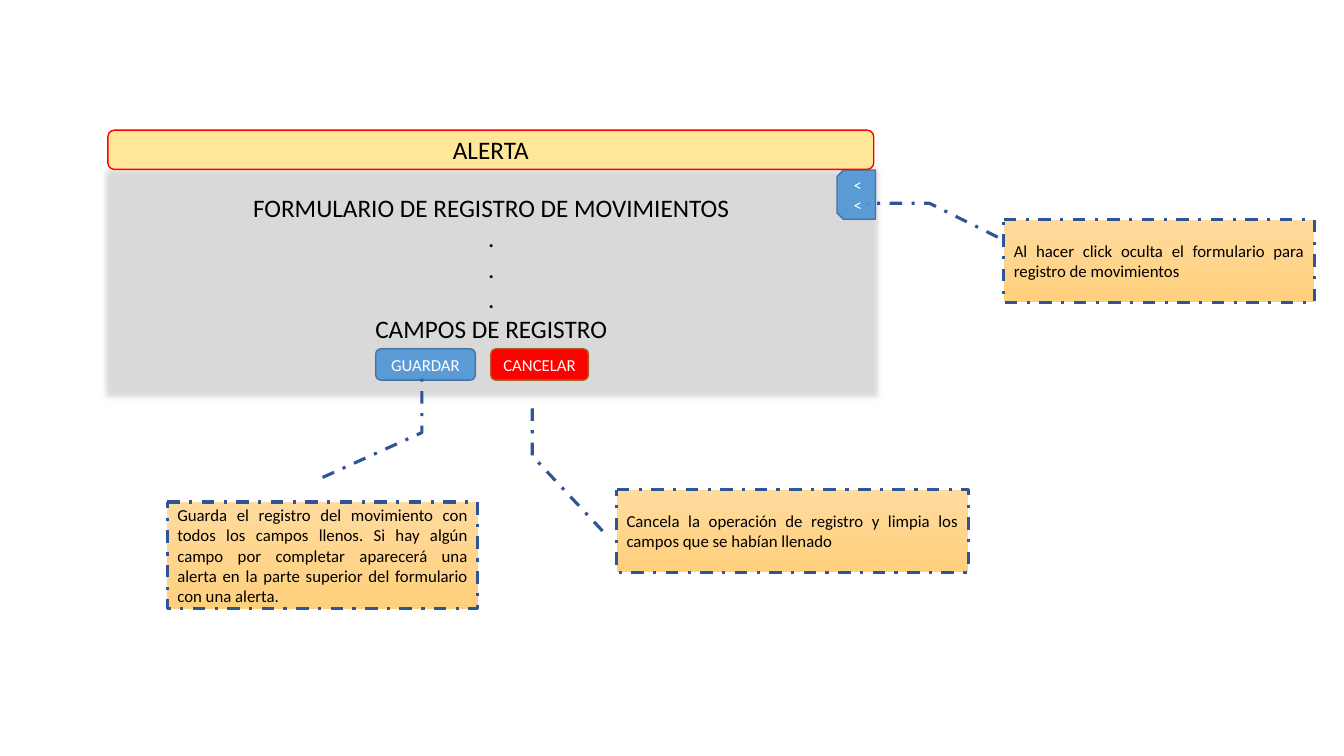
import pptx
import pptx.util
import pptx.dml.color
import pptx.enum.dml
import pptx.enum.shapes
import pptx.enum.text
import pptx.oxml.ns
import lxml.etree

Cm = pptx.util.Cm
Pt = pptx.util.Pt
SHAPE = pptx.enum.shapes.MSO_SHAPE
ALIGN = pptx.enum.text.PP_ALIGN

COLORS = {
    "black": "000000",
    "white": "FFFFFF",
    "panel": "D9D9D9",
    "panel_line": "A5A5A5",
    "blue": "5B9BD5",
    "blue_line": "43739E",
    "red": "FF0000",
    "red_line": "AF5C24",
    "note_top": "FFDB9E",
    "note_bottom": "FFD07C",
    "note_line": "2F5597",
    "alert": "FFE699",
}


class Wireframe:
    font = "Calibri"

    def __init__(self, slide):
        self.slide = slide
        self.form = slide.shapes.add_group_shape().shapes

    def rgb(self, name):
        return pptx.dml.color.RGBColor.from_string(COLORS[name])

    def box(self, shapes, kind, at, fill, line, lines, size, color, width=1, align=ALIGN.CENTER):
        sp = shapes.add_shape(kind, *[Cm(v) for v in at])
        sp.shadow.inherit = False
        sp.fill.solid()
        sp.fill.fore_color.rgb = self.rgb(fill)
        sp.line.color.rgb = self.rgb(line)
        sp.line.width = Pt(width)
        tf = sp.text_frame
        tf.word_wrap = True
        tf.vertical_anchor = pptx.enum.text.MSO_ANCHOR.MIDDLE
        for i, text in enumerate(lines):
            p = tf.add_paragraph() if i else tf.paragraphs[0]
            p.alignment = align
            r = p.add_run()
            r.text = text
            r.font.name = self.font
            r.font.size = Pt(size)
            r.font.color.rgb = self.rgb(color)
        return sp

    def panel(self, at, lines):
        sp = self.box(self.form, SHAPE.RECTANGLE, at, "panel", "panel_line", lines, 18, "black", 0.5)
        sp.text_frame.margin_bottom = Cm(0.9)
        qn = pptx.oxml.ns.qn
        effects = sp._element.spPr.find(qn("a:effectLst"))
        lxml.etree.SubElement(effects, qn("a:softEdge"), rad=str(Pt(5)))

    def button(self, at, text, fill, line):
        self.box(self.form, SHAPE.ROUNDED_RECTANGLE, at, fill, line, [text], 12, "white")

    def tab(self, at, text):
        sp = self.box(self.form, SHAPE.SNIP_2_SAME_RECTANGLE, at, "blue", "blue_line", [text], 12, "white")
        sp.rotation = 270
        sp.text_frame._txBody.bodyPr.set("vert", "vert")

    def note(self, at, text, leader):
        sp = self.box(self.slide.shapes, SHAPE.LINE_CALLOUT_2, at, "note_top", "note_line",
                      [text], 12, "black", 2.25, ALIGN.JUSTIFY)
        sp.fill.gradient()
        sp.fill.gradient_angle = 270
        for stop, name in zip(sp.fill.gradient_stops, ("note_top", "note_bottom")):
            stop.color.rgb = self.rgb(name)
        sp.line.dash_style = pptx.enum.dml.MSO_LINE.DASH_DOT
        for i, value in enumerate(leader):
            sp.adjustments[i] = value

    def alert(self, at, text):
        self.box(self.slide.shapes, SHAPE.ROUNDED_RECTANGLE, at, "alert", "red", [text], 18, "black")


def main():
    prs = pptx.Presentation()
    prs.slide_width, prs.slide_height = Cm(33.87), Cm(19.05)
    s = Wireframe(prs.slides.add_slide(prs.slide_layouts[6]))

    s.panel((2.46, 4.09, 19.84, 6.1),
            ["FORMULARIO DE REGISTRO DE MOVIMIENTOS", ".", ".", ".", "CAMPOS DE REGISTRO"])
    s.tab((20.96, 4.42, 1.24, 0.97), "<<")
    s.button((9.47, 8.79, 2.51, 0.79), "GUARDAR", "blue", "blue_line")
    s.button((12.37, 8.79, 2.46, 0.79), "CANCELAR", "red", "red_line")

    s.note((25.3, 5.54, 7.82, 2.08),
           "Al hacer click oculta el formulario para registro de movimientos",
           (0.21, -0.02, -0.2, -0.24, -0.2, -0.44))
    s.note((15.54, 12.34, 8.86, 2.08),
           "Cancela la operación de registro y limpia los campos que se habían llenado",
           (0.5, -0.04, -0.41, -0.24, -1.1, -0.24))
    s.note((4.22, 12.65, 7.82, 2.69),
           "Guarda el registro del movimiento con todos los campos llenos. Si hay algún campo "
           "por completar aparecerá una alerta en la parte superior del formulario con una alerta.",
           (-0.23, 0.5, -0.65, 0.82, -1.2, 0.82))
    s.alert((2.72, 3.28, 19.3, 0.99), "ALERTA")

    prs.save("out.pptx")


if __name__ == "__main__":
    main()
